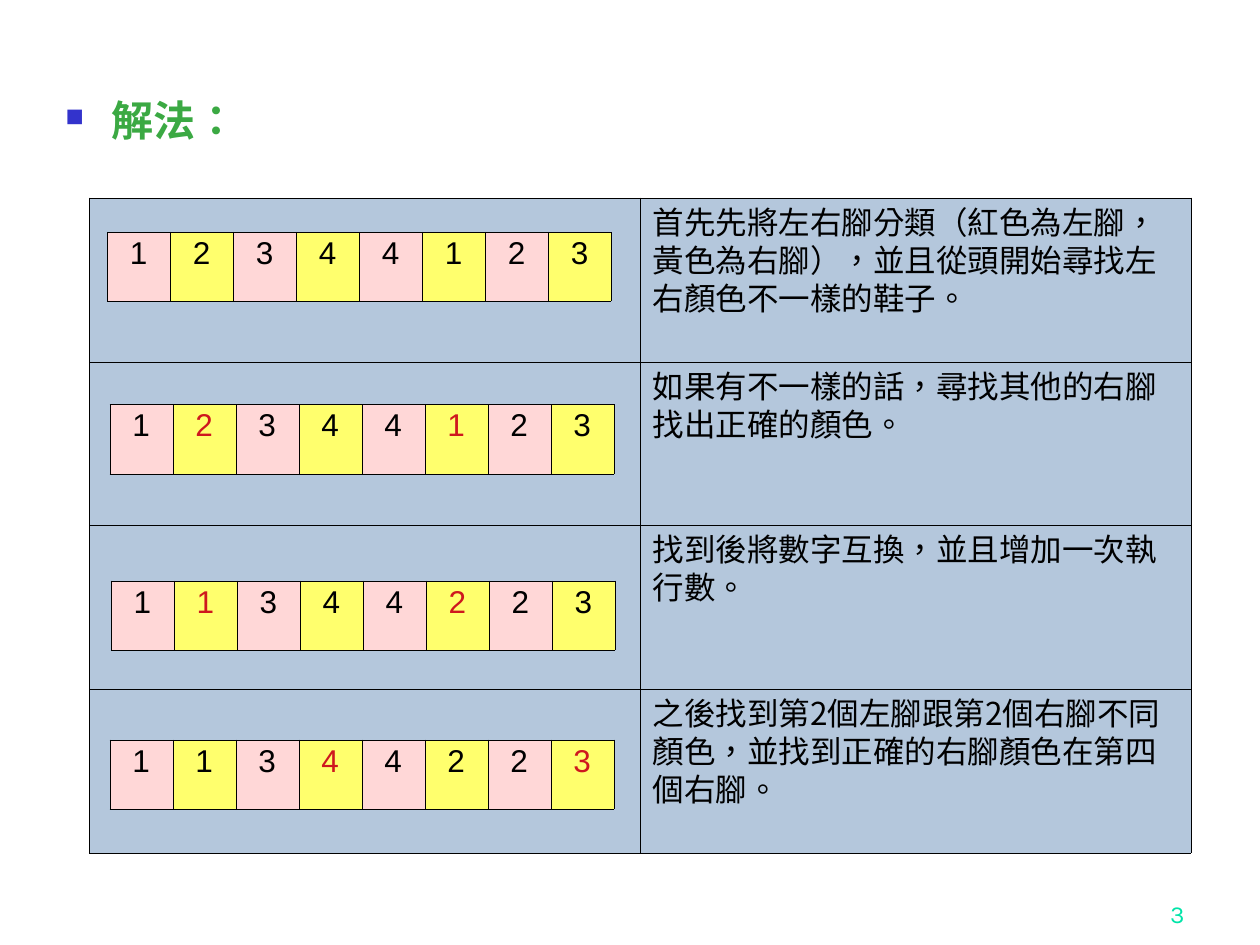
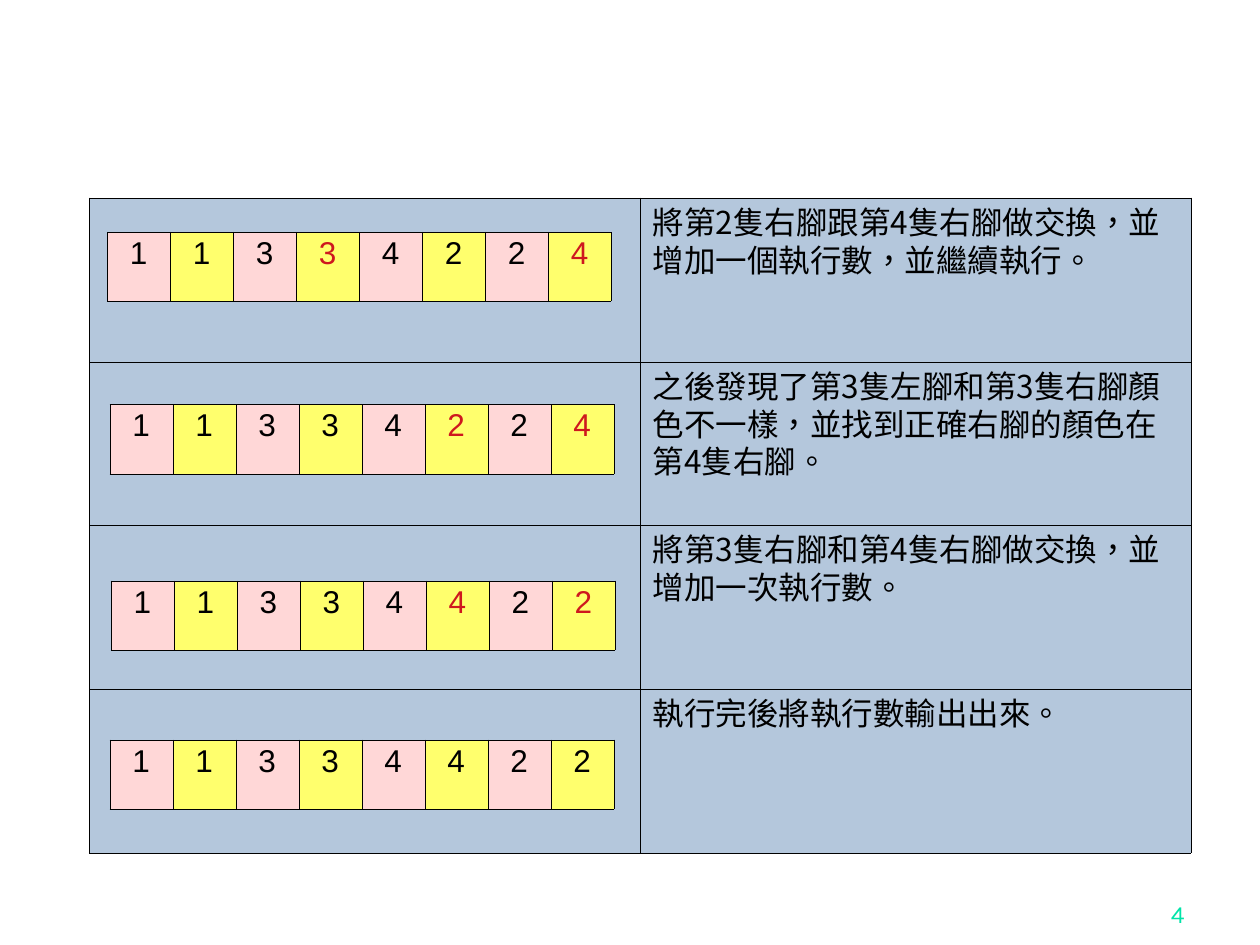
from lxml.etree import SubElement as Sub
from pptx import Presentation
from pptx.dml.color import RGBColor as Rgb
from pptx.enum.text import MSO_ANCHOR as Anchor, PP_ALIGN as Align
from pptx.oxml.ns import qn
from pptx.util import Inches, Pt

BLACK = Rgb(0x00, 0x00, 0x00)
RED = Rgb(0xCE, 0x18, 0x1E)
GREEN = Rgb(0x3B, 0xA9, 0x43)
MINT = Rgb(0x00, 0xE4, 0xA8)
BLUE = Rgb(0x33, 0x33, 0xCC)
STEEL = Rgb(0xB4, 0xC7, 0xDC)
PINK = Rgb(0xFF, 0xD7, 0xD7)
YELLOW = Rgb(0xFF, 0xFF, 0x6D)
CJK = "Noto Sans CJK SC"
SPOTS = [(0.85, 1.84), (0.87, 3.21), (0.88, 4.61), (0.87, 5.87)]

FIRST = [
    ("12344123", (),
     "首先先將左右腳分類（紅色為左腳，黃色為右腳），並且從頭開始尋找左右顏色不一樣的鞋子。"),
    ("12344123", (1, 5), "如果有不一樣的話，尋找其他的右腳找出正確的顏色。"),
    ("11344223", (1, 5), "找到後將數字互換，並且增加一次執行數。"),
    ("11344223", (3, 7),
     "之後找到第2個左腳跟第2個右腳不同顏色，並找到正確的右腳顏色在第四個右腳。"),
]
SECOND = [
    ("11334224", (3, 7), "將第2隻右腳跟第4隻右腳做交換，並增加一個執行數，並繼續執行。"),
    ("11334224", (5, 7),
     "之後發現了第3隻左腳和第3隻右腳顏色不一樣，並找到正確右腳的顏色在第4隻右腳。"),
    ("11334422", (5, 7), "將第3隻右腳和第4隻右腳做交換，並增加一次執行數。"),
    ("11334422", (), "執行完後將執行數輸出出來。"),
]


def write(frame, text, font="Arial", size=18, color=BLACK, bold=False,
          align=Align.LEFT, space=1.0):
    para = frame.paragraphs[0]
    para.alignment = align
    para.line_spacing = space
    run = para.add_run()
    run.text = text
    run.font.name = font
    run.font.size = Pt(size)
    run.font.bold = bold
    run.font.color.rgb = color
    props = run._r.get_or_add_rPr()
    props.set("lang", "zh-TW")
    Sub(props, qn("a:ea"), typeface=CJK)
    return para


def add_box(slide, left, top, width, height, anchor=Anchor.TOP):
    box = slide.shapes.add_textbox(
        Inches(left), Inches(top), Inches(width), Inches(height))
    frame = box.text_frame
    frame.word_wrap = True
    frame.vertical_anchor = anchor
    return frame


def add_title(slide, text):
    para = write(add_box(slide, 0.42, 0.75, 8.83, 0.6), text,
                 font="Times New Roman", size=24, color=GREEN, bold=True, space=0.9)
    props = para._p.get_or_add_pPr()
    props.set("marL", str(Inches(0.37)))
    props.set("indent", str(-Inches(0.37)))
    Sub(Sub(props, qn("a:buClr")), qn("a:srgbClr"), val=str(BLUE))
    Sub(props, qn("a:buSzPct"), val="60000")
    Sub(props, qn("a:buChar"), char="■")


def style(cell, color):
    props = cell._tc.get_or_add_tcPr()
    for side in "LRTB":
        line = Sub(props, qn(f"a:ln{side}"), w=str(Pt(0.06)))
        Sub(Sub(line, qn("a:solidFill")), qn("a:srgbClr"), val=str(BLACK))
    cell.fill.solid()
    cell.fill.fore_color.rgb = color


def add_grid(slide, rows, cols, left, top, width, height):
    grid = slide.shapes.add_table(
        rows, cols, Inches(left), Inches(top), Inches(width), Inches(height)).table
    grid.first_row = grid.horz_banding = False
    return grid


def add_strip(slide, spot, digits, marks):
    grid = add_grid(slide, 1, len(digits), *spot, 4, 0.55)
    for col, digit in enumerate(digits):
        cell = grid.cell(0, col)
        style(cell, YELLOW if col % 2 else PINK)
        write(cell.text_frame, digit, color=RED if col in marks else BLACK,
              align=Align.CENTER, space=0.93)


def add_steps(slide, steps):
    grid = add_grid(slide, len(steps), 2, 0.71, 1.57, 8.74, 5.2)
    for row, (_, _, text) in enumerate(steps):
        for col in range(2):
            style(grid.cell(row, col), STEEL)
        write(grid.cell(row, 1).text_frame, text, font=CJK, space=0.83)
    for spot, (digits, marks, _) in zip(SPOTS, steps):
        add_strip(slide, spot, digits, marks)


def add_page(deck, number, steps):
    slide = deck.slides.add_slide(deck.slide_layouts[6])
    write(add_box(slide, 7.42, 6.92, 2.08, 0.5, Anchor.BOTTOM), str(number),
          font="Karla", size=14, color=MINT, align=Align.RIGHT)
    add_steps(slide, steps)
    return slide


def main():
    deck = Presentation()
    deck.slide_width, deck.slide_height = Inches(10), Inches(7.5)
    add_title(add_page(deck, 3, FIRST), "解法：")
    add_page(deck, 4, SECOND)
    deck.save("out.pptx")


if __name__ == "__main__":
    main()
